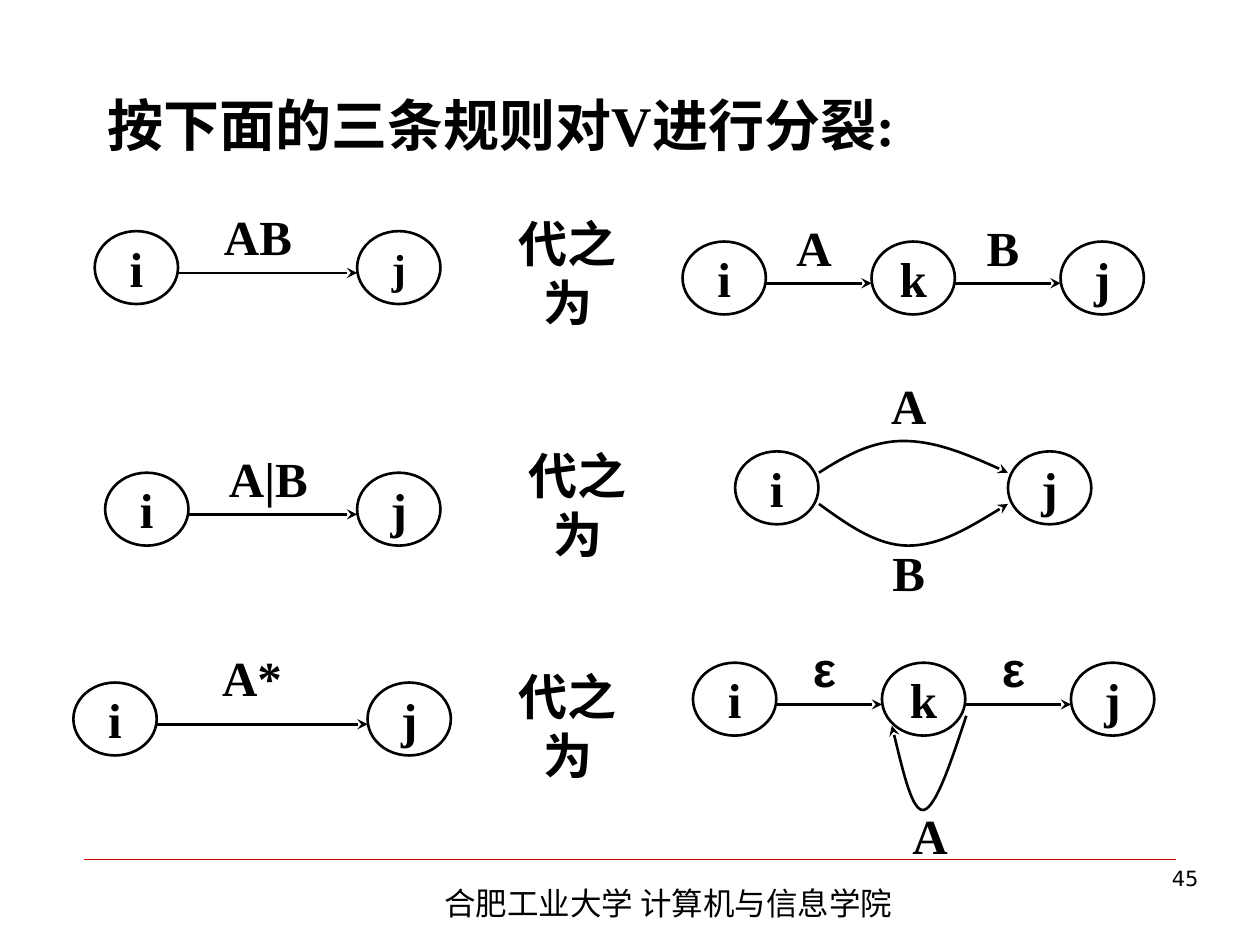
import pptx
import pptx.util
import pptx.dml.color
import pptx.enum.shapes
import pptx.enum.text
import pptx.oxml.ns
import lxml.etree

Cm = pptx.util.Cm
Pt = pptx.util.Pt
RGB = pptx.dml.color.RGBColor
ALIGN = pptx.enum.text.PP_ALIGN
ANCHOR = pptx.enum.text.MSO_ANCHOR
qn = pptx.oxml.ns.qn

THEME = {
    "ink": RGB(0, 0, 0),
    "rule": RGB(0xCC, 0, 0),
    "serif": "Times New Roman",
    "greek": "Arial",
    "chinese": "Noto Sans CJK SC",
    "number": "DejaVu Sans",
    "title": 32,
    "body": 28,
    "small": 24,
    "footer": 18,
    "page": 12,
    "stroke": 1.5,
    "hairline": 0.25,
}

TITLE = "按下面的三条规则对V进行分裂:"
FOOTER = "合肥工业大学 计算机与信息学院"
PAGE = "45"

REPLACED_BY = "代之为"
replacements = [(9.96, 4.65), (10.16, 9.32), (9.96, 13.77)]

graphs = [
    {"top": 4.66, "states": [("i", 1.91), ("j", 7.2)], "edges": ["AB"],
     "shift": 0.44, "sizes": {"j": THEME["small"]}},
    {"top": 4.87, "states": [("i", 13.76), ("k", 17.57), ("j", 21.38)],
     "edges": ["A", "B"]},
    {"top": 9.53, "states": [("i", 2.12), ("j", 7.2)], "edges": ["A|B"],
     "shift": 0.44},
    {"top": 9.1, "states": [("i", 14.82), ("j", 20.32)], "edges": []},
    {"top": 13.76, "states": [("i", 1.48), ("j", 7.41)], "edges": ["A*"],
     "shift": 0.44, "label_width": 2.96, "lift": 0.21},
    {"top": 13.36, "states": [("i", 13.97), ("k", 17.78), ("j", 21.59)],
     "edges": ["ε", "ε"]},
]

curved_edges = [
    ("A", (17.15, 7.42),
     [(16.51, 9.53), (17.04, 9.19), (17.58, 8.89), (18.21, 8.89),
      (18.85, 8.89), (19.58, 9.19), (20.32, 9.53)]),
    ("B", (17.15, 10.8),
     [(16.51, 10.16), (17.09, 10.58), (17.68, 11), (18.31, 11),
      (18.95, 11), (19.63, 10.58), (20.32, 10.16)]),
    ("A", (17.58, 16.1),
     [(19.48, 14.43), (19.18, 15.34), (18.87, 16.28), (18.62, 16.33),
      (18.39, 16.36), (18.19, 15.49), (17.98, 14.63)]),
]

STATE_WIDTH, STATE_HEIGHT = 1.68, 1.47
LABEL_WIDTH, LABEL_HEIGHT = 2.34, 1.47
EDGE_DROP = 0.84


def write(holder, text, size=THEME["body"], font=THEME["serif"], bold=True,
          align=ALIGN.CENTER, anchor=ANCHOR.MIDDLE, wrap=False):
    frame = holder.text_frame
    frame.text = text
    frame.word_wrap = wrap
    frame.vertical_anchor = anchor
    paragraph = frame.paragraphs[0]
    paragraph.alignment = align
    for run in paragraph.runs:
        run.font.size = Pt(size)
        run.font.bold = bold
        run.font.name = font
        run.font.color.rgb = THEME["ink"]
        east_asian = lxml.etree.Element(qn("a:ea"), typeface=THEME["chinese"])
        run.font._element.find(qn("a:latin")).addnext(east_asian)


def add_text(shapes, text, left, top, width, height, **style):
    box = shapes.add_textbox(Cm(left), Cm(top), Cm(width), Cm(height))
    write(box, text, **style)


def add_label(shapes, text, left, top, width=LABEL_WIDTH):
    font = THEME["greek"] if text == "ε" else THEME["serif"]
    add_text(shapes, text, left, top, width, LABEL_HEIGHT, font=font)


def stroke(line, color=THEME["ink"], width=THEME["stroke"], arrow=False):
    line.color.rgb = color
    line.width = Pt(width)
    if arrow:
        lxml.etree.SubElement(line._get_or_add_ln(), qn("a:tailEnd"), type="stealth")


def add_line(shapes, start, end, y, **style):
    line = shapes.add_connector(pptx.enum.shapes.MSO_CONNECTOR.STRAIGHT,
                                Cm(start), Cm(y), Cm(end), Cm(y))
    stroke(line.line, **style)
    lxml.etree.SubElement(line._element.spPr, qn("a:effectLst"))


def add_state(shapes, name, left, top, size):
    state = shapes.add_shape(pptx.enum.shapes.MSO_SHAPE.OVAL, Cm(left), Cm(top),
                             Cm(STATE_WIDTH), Cm(STATE_HEIGHT))
    state.shadow.inherit = False
    state.fill.background()
    stroke(state.line)
    write(state, name, size=size)


def add_curve(shapes, points):
    start, *controls = [(Cm(x), Cm(y)) for x, y in points]
    builder = shapes.build_freeform(*start)
    builder.add_line_segments(controls, close=False)
    curve = builder.convert_to_shape()
    outline = curve._element.find(".//" + qn("a:path"))
    segments = outline.findall(qn("a:lnTo"))
    for first in range(0, len(segments), 3):
        bezier = lxml.etree.SubElement(outline, qn("a:cubicBezTo"))
        for segment in segments[first:first + 3]:
            bezier.append(segment[0])
            outline.remove(segment)
    curve.shadow.inherit = False
    curve.fill.background()
    stroke(curve.line, arrow=True)


def add_graph(shapes, graph):
    top, states = graph["top"], graph["states"]
    sizes = graph.get("sizes", {})
    for name, left in states:
        add_state(shapes, name, left, top, sizes.get(name, THEME["body"]))
    edge_y = top + EDGE_DROP
    label_top = edge_y - LABEL_HEIGHT - graph.get("lift", 0)
    for label, (_, source), (_, target) in zip(graph["edges"], states, states[1:]):
        start = source + STATE_WIDTH
        add_line(shapes, start, target, edge_y, arrow=True)
        add_label(shapes, label, start + graph.get("shift", -0.2), label_top,
                  graph.get("label_width", LABEL_WIDTH))


def main():
    deck = pptx.Presentation()
    deck.slide_width, deck.slide_height = Cm(25.4), Cm(19.05)
    shapes = deck.slides.add_slide(deck.slide_layouts[6]).shapes

    add_line(shapes, 1.7, 23.7, 17.32, color=THEME["rule"], width=THEME["hairline"])
    add_text(shapes, FOOTER, 8.71, 17.7, 11.99, 1.02, size=THEME["footer"],
             font=THEME["chinese"], bold=False, align=ALIGN.LEFT,
             anchor=ANCHOR.TOP, wrap=True)
    add_text(shapes, PAGE, 18.9, 17.32, 5.51, 1.32, size=THEME["page"],
             font=THEME["number"], bold=False, align=ALIGN.RIGHT,
             anchor=ANCHOR.TOP, wrap=True)
    for left, top in replacements:
        add_text(shapes, REPLACED_BY, left, top, 2.97, 1.7)
    for graph in graphs:
        add_graph(shapes, graph)
    for label, (left, top), points in curved_edges:
        add_curve(shapes, points)
        add_label(shapes, label, left, top)
    add_text(shapes, TITLE, 1.91, 1.7, 21.59, 1.91, size=THEME["title"],
             align=ALIGN.JUSTIFY, anchor=ANCHOR.TOP, wrap=True)

    deck.save("out.pptx")


if __name__ == "__main__":
    main()
